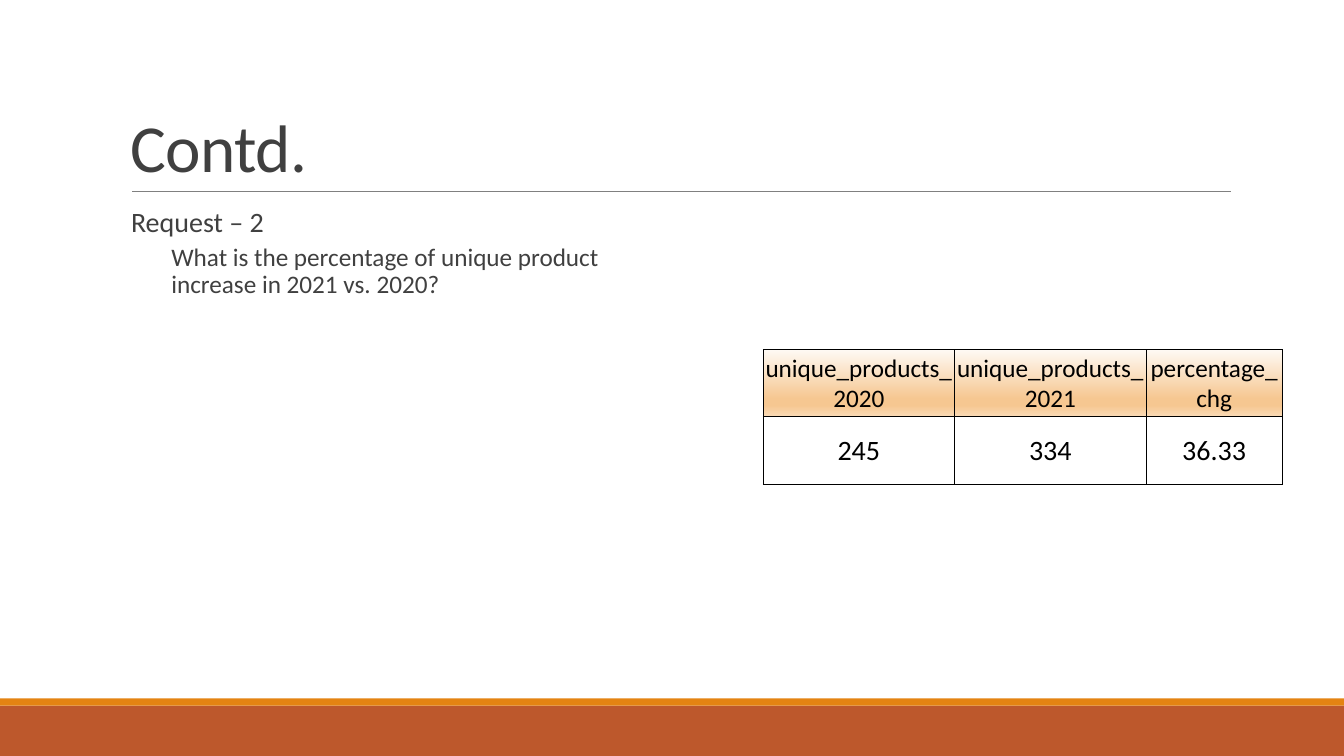
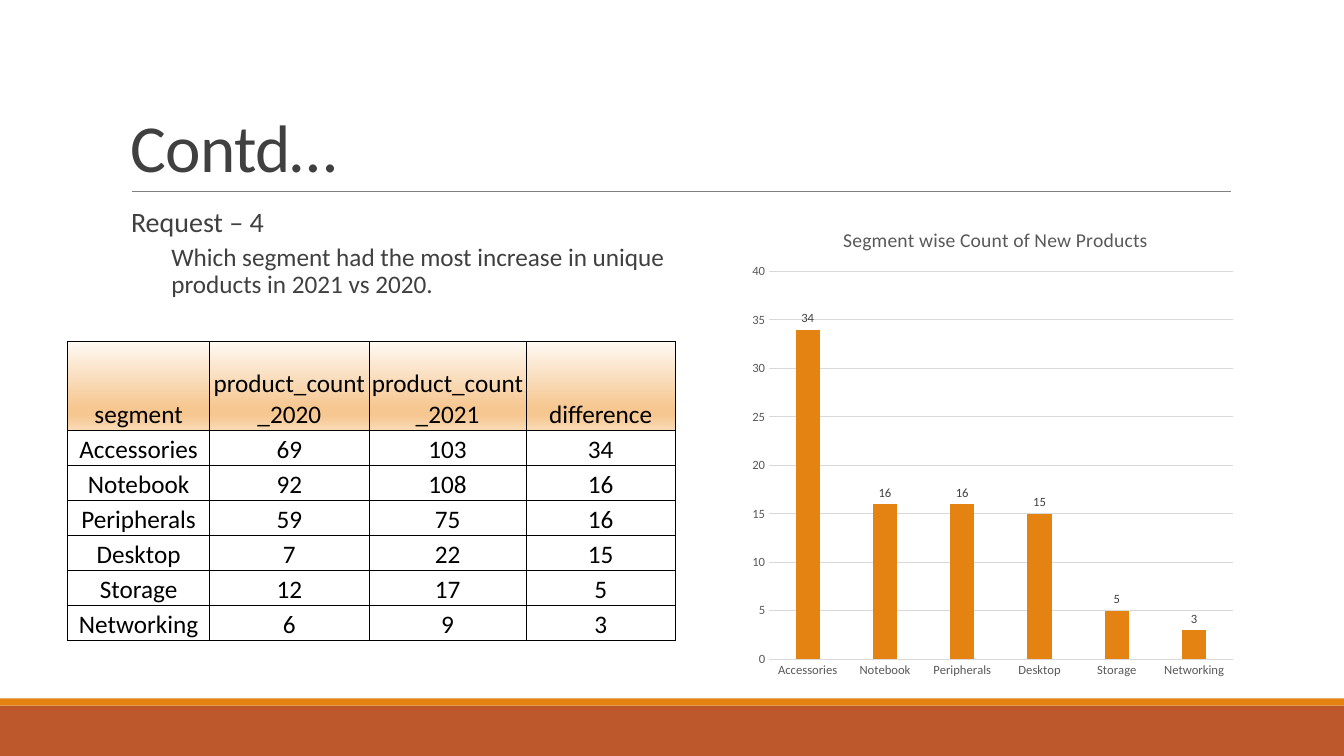
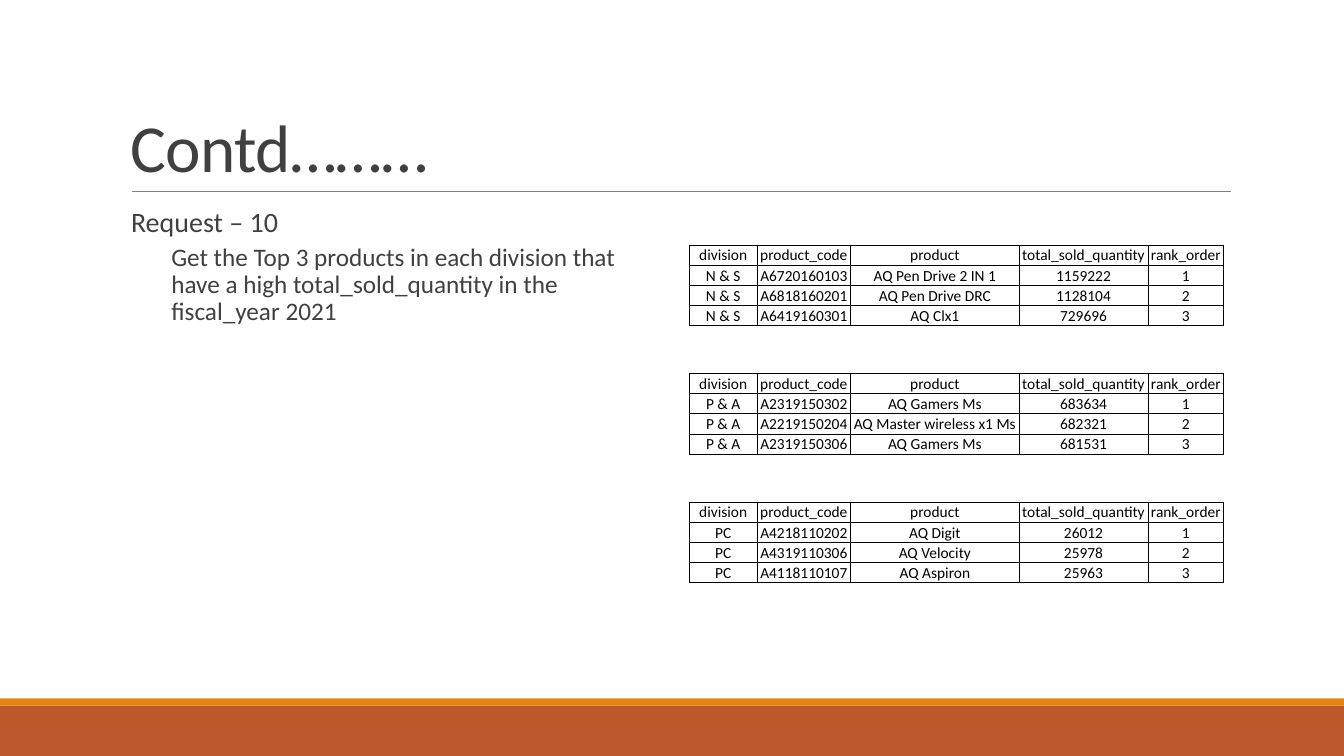
from dataclasses import dataclass
from typing import Sequence

from lxml import etree
from pptx import Presentation
from pptx import util as u
from pptx.chart import data as chart_data
from pptx.dml import color
from pptx.enum import chart as charts, shapes, text
from pptx.oxml import ns, parse_xml

COLORS = {
    "rust": "BD582C",
    "orange": "E48312",
    "rule": "808080",
    "heading": "404040",
    "axis": "595959",
    "grid": "D9D9D9",
    "black": "000000",
}
HEADER_STOPS = ((0, "FEF9F3"), (74, "F6C791"), (83, "F6C791"), (100, "F9DAB6"))
FONT = "Calibri"
SLIDE_COLUMNS, SLIDE_ROWS = 133.33, 75
DRAWING = "http://schemas.openxmlformats.org/drawingml/2006/main"


def grid(count: float) -> int:
    return u.Inches(count / 10)


@dataclass(frozen=True)
class Box:
    column: float
    row: float
    columns: float
    rows: float

    def place(self) -> tuple[int, int, int, int]:
        return grid(self.column), grid(self.row), grid(self.columns), grid(self.rows)


@dataclass(frozen=True)
class Grid:
    column: float
    row: float
    widths: Sequence[float]
    heights: Sequence[float]
    cells: Sequence[Sequence[str]]
    header_size: float = 18
    body_size: float = 18
    anchor: text.MSO_ANCHOR = text.MSO_ANCHOR.BOTTOM
    shaded_header: bool = True
    outer_line: float = 0.5


@dataclass(frozen=True)
class Page:
    title: str
    request: str
    question: str
    tables: Sequence[Grid]
    has_chart: bool = False


BANDS = ((Box(0, 70, SLIDE_COLUMNS, 5), "rust"), (Box(0, 69.3, SLIDE_COLUMNS, 0.7), "orange"))
TITLE_BOX = Box(12, 3.1, 110, 15.9)
BODY_BOX = Box(12, 20.2, 54, 44)
CHART_BOX = Box(73.3, 20.2, 50, 48.1)

UNIQUE_PRODUCTS = Grid(
    75.7, 34.7, (19, 19, 13.5), (6.65, 6.65),
    (("unique_products_2020", "unique_products_2021", "percentage_chg"), ("245", "334", "36.33")),
    body_size=20, anchor=text.MSO_ANCHOR.MIDDLE,
)
SEGMENTS = (
    ("Accessories", 69, 103),
    ("Notebook", 92, 108),
    ("Peripherals", 59, 75),
    ("Desktop", 7, 22),
    ("Storage", 12, 17),
    ("Networking", 6, 9),
)
SEGMENT_COUNTS = Grid(
    6.7, 33.9, (14.1, 15.8, 15.6, 14.8), (8.8, *[3.47] * len(SEGMENTS)),
    (
        ("segment", "product_count_2020", "product_count_2021", "difference"),
        *((name, str(before), str(after), str(after - before)) for name, before, after in SEGMENTS),
    ),
    outer_line=1,
)
DIVISIONS = {
    "N & S": (
        ("A6720160103", "AQ Pen Drive 2 IN 1", "1159222"),
        ("A6818160201", "AQ Pen Drive DRC", "1128104"),
        ("A6419160301", "AQ Clx1", "729696"),
    ),
    "P & A": (
        ("A2319150302", "AQ Gamers Ms", "683634"),
        ("A2219150204", "AQ Master wireless x1 Ms", "682321"),
        ("A2319150306", "AQ Gamers Ms", "681531"),
    ),
    "PC": (
        ("A4218110202", "AQ Digit", "26012"),
        ("A4319110306", "AQ Velocity", "25978"),
        ("A4118110107", "AQ Aspiron", "25963"),
    ),
}
DIVISION_HEADER = ("division", "product_code", "product", "total_sold_quantity", "rank_order")
DIVISION_TABLES = [
    Grid(
        68.4, 24.3 + 12.75 * position, (6.7, 9.3, 16.7, 12.8, 7.5), (2,) * 4,
        (
            DIVISION_HEADER,
            *((division, *product, str(rank)) for rank, product in enumerate(products, 1)),
        ),
        header_size=11, body_size=11, shaded_header=False,
    )
    for position, (division, products) in enumerate(DIVISIONS.items())
]
PAGES = (
    Page(
        "Contd.", "Request – 2",
        "What is the percentage of unique product increase in 2021 vs. 2020?",
        [UNIQUE_PRODUCTS],
    ),
    Page(
        "Contd…", "Request – 4",
        "Which segment had the most increase in unique products in 2021 vs 2020.",
        [SEGMENT_COUNTS], has_chart=True,
    ),
    Page(
        "Contd………", "Request – 10",
        "Get the Top 3 products in each division that have a high total_sold_quantity "
        "in the fiscal_year 2021",
        DIVISION_TABLES,
    ),
)


def rgb(name: str) -> color.RGBColor:
    return color.RGBColor.from_string(COLORS[name])


def style_font(font, size: float, color_name: str) -> None:
    font.name = FONT
    font.size = u.Pt(size)
    font.color.rgb = rgb(color_name)


def add_run(paragraph, content: str, size: float, color_name: str):
    run = paragraph.add_run()
    run.text = content
    style_font(run.font, size, color_name)
    return run


def draw_frame(slide) -> None:
    for box, color_name in BANDS:
        band = slide.shapes.add_shape(shapes.MSO_SHAPE.RECTANGLE, *box.place())
        band.shadow.inherit = False
        band.fill.solid()
        band.fill.fore_color.rgb = rgb(color_name)
        band.line.fill.background()
    rule = slide.shapes.add_connector(
        shapes.MSO_CONNECTOR.STRAIGHT, grid(13.1), grid(19), grid(122.1), grid(19)
    )
    rule.line.color.rgb = rgb("rule")
    rule.line.width = u.Pt(0.5)
    etree.SubElement(rule._element.spPr, ns.qn("a:effectLst"))


def add_text_frame(slide, box: Box):
    frame = slide.shapes.add_textbox(*box.place()).text_frame
    frame.word_wrap = True
    return frame


def draw_title(slide, title: str) -> None:
    frame = add_text_frame(slide, TITLE_BOX)
    frame.vertical_anchor = text.MSO_ANCHOR.BOTTOM
    paragraph = frame.paragraphs[0]
    paragraph.line_spacing = 0.85
    run = add_run(paragraph, title, 48, "heading")
    run._r.get_or_add_rPr().set("spc", "-50")


def draw_body(slide, request: str, question: str) -> None:
    frame = add_text_frame(slide, BODY_BOX)
    frame.margin_left = frame.margin_right = 0
    lines = ((request, 20, 0, 1, 12, 2), (question, 18, 1, 5, 2, 4))
    for position, (content, size, level, indent, before, after) in enumerate(lines):
        paragraph = frame.add_paragraph() if position else frame.paragraphs[0]
        paragraph.level = level
        paragraph.line_spacing = 0.9
        paragraph.space_before = u.Pt(before)
        paragraph.space_after = u.Pt(after)
        properties = paragraph._p.get_or_add_pPr()
        properties.set("marL", str(grid(indent)))
        properties.set("indent", "0")
        add_run(paragraph, content, size, "heading")


def set_borders(cell, widths: dict[str, float]) -> None:
    properties = cell._tc.get_or_add_tcPr()
    for position, (side, width) in enumerate(widths.items()):
        border = parse_xml(
            f'<a:ln{side} xmlns:a="{DRAWING}" w="{u.Pt(width)}"><a:solidFill>'
            f'<a:srgbClr val="{COLORS["black"]}"/></a:solidFill></a:ln{side}>'
        )
        properties.insert(position, border)


def shade_header(cell) -> None:
    stops = "".join(
        f'<a:gs pos="{share * 1000}"><a:srgbClr val="{value}"/></a:gs>'
        for share, value in HEADER_STOPS
    )
    cell._tc.get_or_add_tcPr().append(parse_xml(
        f'<a:gradFill xmlns:a="{DRAWING}"><a:gsLst>{stops}</a:gsLst>'
        '<a:lin ang="5400000" scaled="0"/></a:gradFill>'
    ))


def draw_table(slide, layout: Grid) -> None:
    last_row, last_column = len(layout.heights) - 1, len(layout.widths) - 1
    box = Box(layout.column, layout.row, sum(layout.widths), sum(layout.heights))
    table = slide.shapes.add_table(last_row + 1, last_column + 1, *box.place()).table
    table.first_row = table.horz_banding = False
    for column, width in zip(table.columns, layout.widths):
        column.width = grid(width)
    for row, height in zip(table.rows, layout.heights):
        row.height = grid(height)
    for i, values in enumerate(layout.cells):
        for j, value in enumerate(values):
            cell = table.cell(i, j)
            cell.margin_left = cell.margin_right = cell.margin_top = grid(0.1)
            cell.margin_bottom = 0
            cell.vertical_anchor = layout.anchor
            paragraph = cell.text_frame.paragraphs[0]
            paragraph.alignment = text.PP_ALIGN.CENTER
            add_run(paragraph, value, layout.body_size if i else layout.header_size, "black")
            if layout.shaded_header and i == 0:
                shade_header(cell)
            else:
                cell.fill.background()
            edges = {"L": j == 0, "R": j == last_column, "T": i == 0, "B": i == last_row}
            set_borders(cell, {s: layout.outer_line if e else 0.5 for s, e in edges.items()})


def set_layout(parent, position: int, shares: dict[str, float], inner: bool = False) -> None:
    current = parent.find(ns.qn("c:layout"))
    if current is not None:
        parent.remove(current)
    layout = etree.Element(ns.qn("c:layout"))
    manual = etree.SubElement(layout, ns.qn("c:manualLayout"))
    settings = {"layoutTarget": "inner"} if inner else {}
    settings |= {"xMode": "edge", "yMode": "edge", **shares}
    for name, value in settings.items():
        etree.SubElement(manual, ns.qn(f"c:{name}")).set("val", str(value))
    parent.insert(position, layout)


def draw_chart(slide) -> None:
    counts = chart_data.CategoryChartData()
    counts.categories = [name for name, _, _ in SEGMENTS]
    counts.add_series("Series 1", [after - before for _, before, after in SEGMENTS])
    chart = slide.shapes.add_chart(
        charts.XL_CHART_TYPE.COLUMN_CLUSTERED, *CHART_BOX.place(), counts
    ).chart
    style_font(chart.font, 10, "black")
    chart.has_legend = False
    chart.has_title = True
    heading = chart.chart_title.text_frame.paragraphs[0]
    heading.font.bold = False
    add_run(heading, "Segment wise Count of New Products", 14, "axis").font.bold = False
    set_layout(chart.chart_title._element, 1, {"x": 0.2, "y": 0.04})
    set_layout(
        chart._chartSpace.chart.plotArea, 0, {"x": 0.06, "y": 0.14, "w": 0.92, "h": 0.8}, True
    )

    for axis in (chart.category_axis, chart.value_axis):
        style_font(axis.tick_labels.font, 9, "axis")
        axis.major_tick_mark = axis.minor_tick_mark = charts.XL_TICK_MARK.NONE
    values = chart.value_axis
    values.minimum_scale, values.maximum_scale, values.major_unit = 0, 40, 5
    values.format.line.fill.background()
    for line in (chart.category_axis.format.line, values.major_gridlines.format.line):
        line.color.rgb = rgb("grid")
        line.width = u.Pt(0.75)

    plot = chart.plots[0]
    plot.gap_width, plot.overlap, plot.vary_by_categories = 219, -27, False
    series = plot.series[0]
    series.format.fill.solid()
    series.format.fill.fore_color.rgb = rgb("orange")
    labels = series.data_labels
    labels.show_value = True
    labels.position = charts.XL_LABEL_POSITION.OUTSIDE_END
    style_font(labels.font, 9, "heading")


def main() -> None:
    presentation = Presentation()
    presentation.slide_width = grid(SLIDE_COLUMNS)
    presentation.slide_height = grid(SLIDE_ROWS)
    for page in PAGES:
        slide = presentation.slides.add_slide(presentation.slide_layouts[6])
        draw_frame(slide)
        draw_title(slide, page.title)
        draw_body(slide, page.request, page.question)
        for layout in page.tables:
            draw_table(slide, layout)
        if page.has_chart:
            draw_chart(slide)
    presentation.save("out.pptx")


if __name__ == "__main__":
    main()
